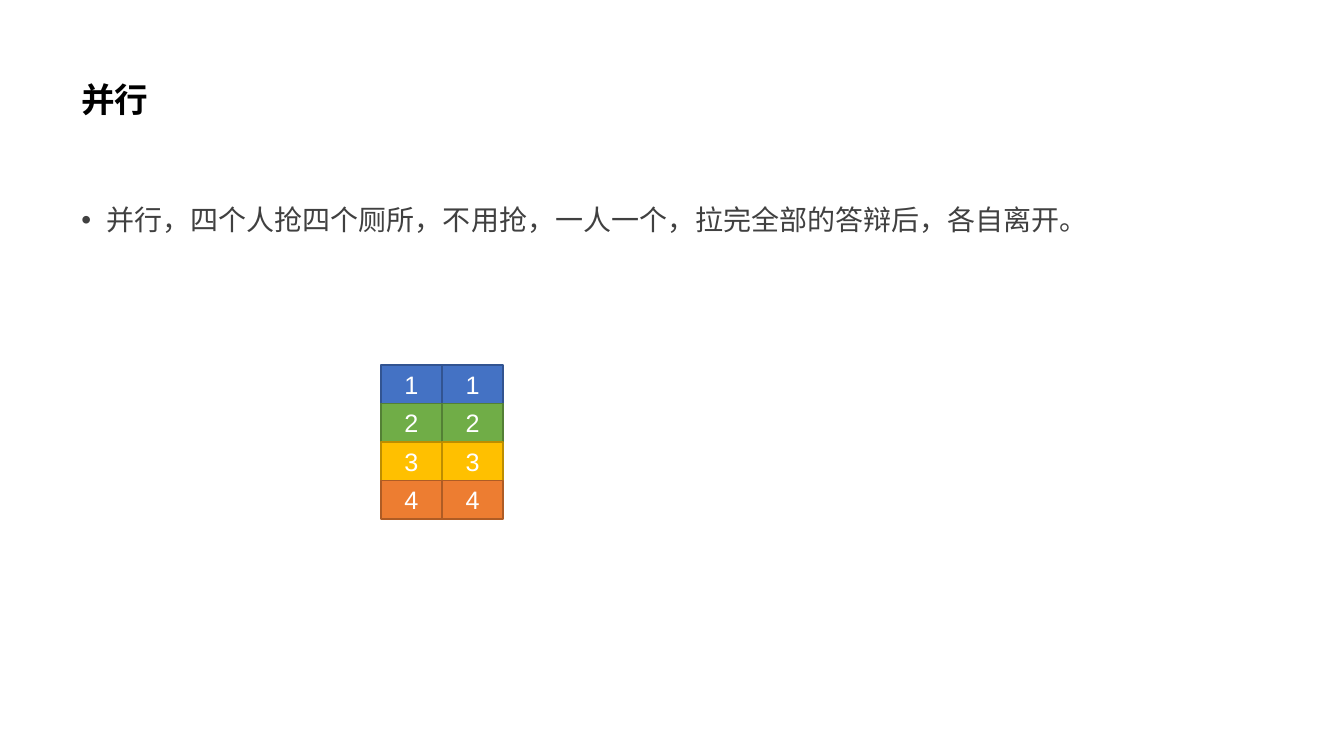
from lxml.etree import SubElement
from pptx import Presentation
from pptx.dml.color import RGBColor
from pptx.enum.shapes import MSO_SHAPE
from pptx.enum.text import MSO_ANCHOR, PP_ALIGN
from pptx.oxml.ns import qn
from pptx.util import Cm, Pt

COLORS = {
    "title": "000000", "body": "404040", "label": "FFFFFF",
    "blue": "4472C4", "blue_line": "325491",
    "green": "70AD47", "green_line": "538035",
    "yellow": "FFC000", "yellow_line": "BD8E00",
    "orange": "ED7D31", "orange_line": "AF5C24",
}
TASK_COLORS = ["blue", "green", "yellow", "orange"]
COLUMNS = 2
GRID_LEFT, GRID_TOP = 9.6, 9.2
CELL_WIDTH, CELL_HEIGHT = 1.54, 0.97


class SlideBuilder:
    """Holds the fonts and the slide; lengths are in centimetres."""
    title_font = "Montserrat"
    body_font = "Arial"

    def __init__(self, slide):
        self.slide = slide

    def color(self, name):
        return RGBColor.from_string(COLORS[name])

    def add_run(self, paragraph, text, size, color, font, bold=False):
        run = paragraph.add_run()
        run.text = text
        run.font.size = Pt(size)
        run.font.name = font
        run.font.bold = bold
        run.font.color.rgb = self.color(color)

    def text_box(self, left, top, width, height, anchor):
        """Add a wrapping box and return its first paragraph."""
        box = self.slide.shapes.add_textbox(Cm(left), Cm(top), Cm(width), Cm(height))
        box.text_frame.word_wrap = True
        box.text_frame.vertical_anchor = anchor
        paragraph = box.text_frame.paragraphs[0]
        paragraph.line_spacing = 0.9
        return paragraph

    def title(self, text):
        paragraph = self.text_box(1.8, 0.71, 29.21, 3.68, MSO_ANCHOR.MIDDLE)
        self.add_run(paragraph, text, 24, "title", self.title_font, bold=True)

    def bullet(self, text):
        paragraph = self.text_box(1.8, 5.08, 29.21, 12.09, MSO_ANCHOR.TOP)
        properties = paragraph._p.get_or_add_pPr()
        properties.set("marL", str(Cm(0.635)))
        properties.set("indent", str(-Cm(0.635)))
        SubElement(properties, qn("a:buFont"), typeface="Arial")
        SubElement(properties, qn("a:buChar"), char="•")
        self.add_run(paragraph, text, 20, "body", self.body_font)

    def task_block(self, left, top, label, color):
        shape = self.slide.shapes.add_shape(
            MSO_SHAPE.RECTANGLE, Cm(left), Cm(top), Cm(CELL_WIDTH), Cm(CELL_HEIGHT))
        shape.shadow.inherit = False
        shape.fill.solid()
        shape.fill.fore_color.rgb = self.color(color)
        shape.line.color.rgb = self.color(color + "_line")
        shape.line.width = Pt(1)
        shape.text_frame.vertical_anchor = MSO_ANCHOR.MIDDLE
        paragraph = shape.text_frame.paragraphs[0]
        paragraph.alignment = PP_ALIGN.CENTER
        self.add_run(paragraph, label, 18, "label", self.body_font)


def main():
    presentation = Presentation()
    presentation.slide_width = Cm(33.87)
    presentation.slide_height = Cm(19.05)
    builder = SlideBuilder(presentation.slides.add_slide(presentation.slide_layouts[6]))

    builder.title("并行")
    builder.bullet("并行，四个人抢四个厕所，不用抢，一人一个，拉完全部的答辩后，各自离开。")
    for column in range(COLUMNS):
        for row, color in enumerate(TASK_COLORS):
            builder.task_block(GRID_LEFT + column * CELL_WIDTH,
                               GRID_TOP + row * CELL_HEIGHT, str(row + 1), color)

    presentation.save("out.pptx")


if __name__ == "__main__":
    main()
